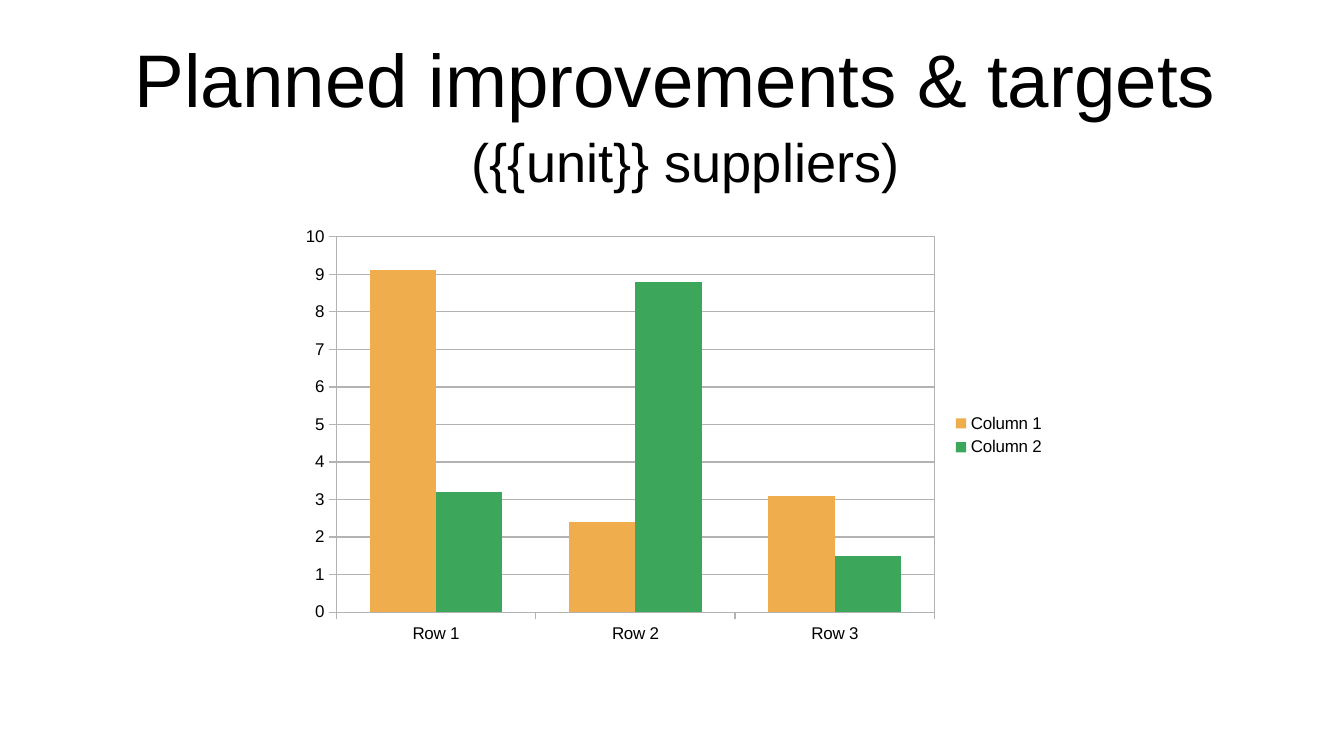
from lxml import etree
from pptx import Presentation
from pptx.chart.data import CategoryChartData
from pptx.dml.color import RGBColor
from pptx.enum.chart import XL_CHART_TYPE, XL_LEGEND_POSITION, XL_TICK_MARK
from pptx.enum.text import MSO_ANCHOR, PP_ALIGN
from pptx.oxml import parse_xml
from pptx.oxml.ns import nsdecls, qn
from pptx.util import Inches, Pt

CLUSTERED = XL_CHART_TYPE.COLUMN_CLUSTERED
LEGEND_RIGHT = XL_LEGEND_POSITION.RIGHT
TICK_OUTSIDE = XL_TICK_MARK.OUTSIDE
TICK_NONE = XL_TICK_MARK.NONE
MIDDLE = MSO_ANCHOR.MIDDLE
TOP = MSO_ANCHOR.TOP
CENTER = PP_ALIGN.CENTER

FONT = "Arial"
COLORS = {"text": "000000", "grid": "B3B3B3", "background": "FFFFFF"}
CATEGORIES = ["Row 1", "Row 2", "Row 3"]
SERIES = [
    ("Column 1", [9.1, 2.4, 3.1], "F0AD4E"),
    ("Column 2", [3.2, 8.8, 1.5], "3CA65B"),
]
PLOT_FRAME = {"x": 0.06, "y": 0.04, "w": 0.78, "h": 0.87}


def color(name):
    return RGBColor.from_string(COLORS[name])


def style_font(font, size):
    font.name = FONT
    font.size = Pt(size)
    font.bold = False
    font.color.rgb = color("text")


def style_line(line):
    line.color.rgb = color("grid")
    line.width = Pt(0.75)


def place(shape, box):
    shape.left, shape.top, shape.width, shape.height = map(Inches, box)


def write_heading(shape, box, text, size, anchor, inset_x, inset_y):
    place(shape, box)
    frame = shape.text_frame
    frame.word_wrap = True
    frame.vertical_anchor = anchor
    frame.margin_left = frame.margin_right = Inches(inset_x)
    frame.margin_top = frame.margin_bottom = Inches(inset_y)
    para = frame.paragraphs[0]
    para.text = text
    para.alignment = CENTER
    para.line_spacing = 1.0
    para.space_before = Pt(0)
    style_font(para.font, size)


def frame_plot(chart):
    plot_area = chart.plots[0]._element.getparent()
    for layout in plot_area.findall(qn("c:layout")):
        plot_area.remove(layout)
    layout = parse_xml(f"<c:layout {nsdecls('c')}><c:manualLayout/></c:layout>")
    manual = layout[0]
    settings = [("layoutTarget", "inner"), ("xMode", "edge"), ("yMode", "edge")]
    settings += list(PLOT_FRAME.items())
    for tag, value in settings:
        etree.SubElement(manual, qn(f"c:{tag}")).set("val", str(value))
    plot_area.insert(0, layout)
    plot_area.append(parse_xml(
        f"<c:spPr {nsdecls('c', 'a')}><a:noFill/><a:ln w=\"9525\"><a:solidFill>"
        f"<a:srgbClr val=\"{COLORS['grid']}\"/></a:solidFill></a:ln></c:spPr>"
    ))


def add_targets_chart(page, box):
    data = CategoryChartData()
    data.categories = CATEGORIES
    for name, values, _ in SERIES:
        data.add_series(name, values)
    chart = page.shapes.add_chart(CLUSTERED, *map(Inches, box), data).chart
    style_font(chart.font, 10)
    chart.has_title = False
    chart.has_legend = True
    chart.legend.position = LEGEND_RIGHT
    chart.legend.include_in_layout = False
    style_font(chart.legend.font, 10)
    for axis in (chart.category_axis, chart.value_axis):
        axis.major_tick_mark = TICK_OUTSIDE
        axis.minor_tick_mark = TICK_NONE
        style_line(axis.format.line)
        style_font(axis.tick_labels.font, 10)
    scale = chart.value_axis
    scale.minimum_scale = 0
    scale.maximum_scale = 10
    scale.major_unit = 1
    scale.has_major_gridlines = True
    style_line(scale.major_gridlines.format.line)
    plot = chart.plots[0]
    plot.gap_width = 100
    plot.overlap = 0
    plot.vary_by_categories = False
    for series, (_, _, fill) in zip(plot.series, SERIES):
        series.format.fill.solid()
        series.format.fill.fore_color.rgb = RGBColor.from_string(fill)
    frame_plot(chart)


def build_targets_slide(deck):
    page = deck.slides.add_slide(deck.slide_layouts.get_by_name("Title Only"))
    page.background.fill.solid()
    page.background.fill.fore_color.rgb = color("background")
    write_heading(page.shapes.title, (0.58, 0.27, 9.92, 0.73),
                  "Planned improvements & targets", 44, MIDDLE, 0, 0)
    add_targets_chart(page, (2.38, 1.8, 6.29, 3.54))
    subtitle_box = (1, 1, 9.25, 0.63)
    subtitle = page.shapes.add_textbox(*map(Inches, subtitle_box))
    write_heading(subtitle, subtitle_box, "({{unit}} suppliers)", 32, TOP, 0.1, 0.05)


def main():
    deck = Presentation()
    deck.slide_width = Inches(11.02)
    deck.slide_height = Inches(6.2)
    build_targets_slide(deck)
    deck.save("out.pptx")


if __name__ == "__main__":
    main()
